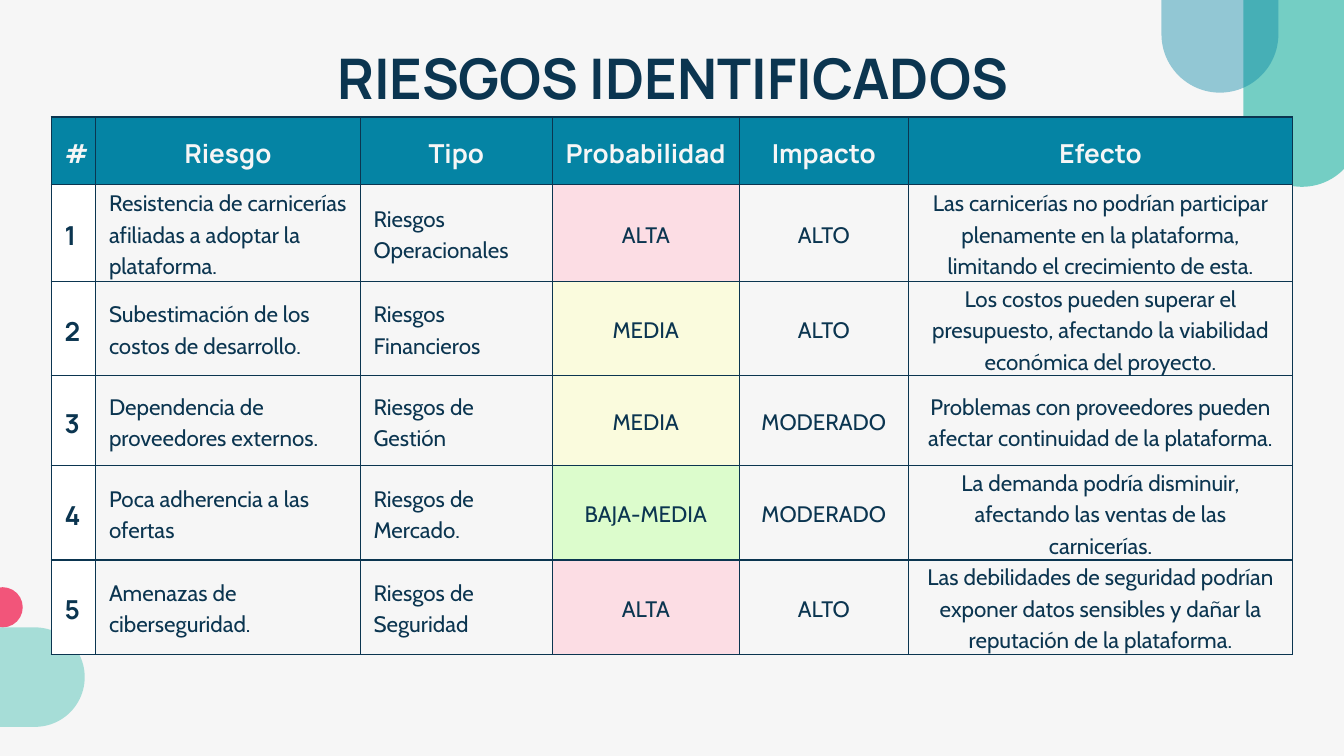
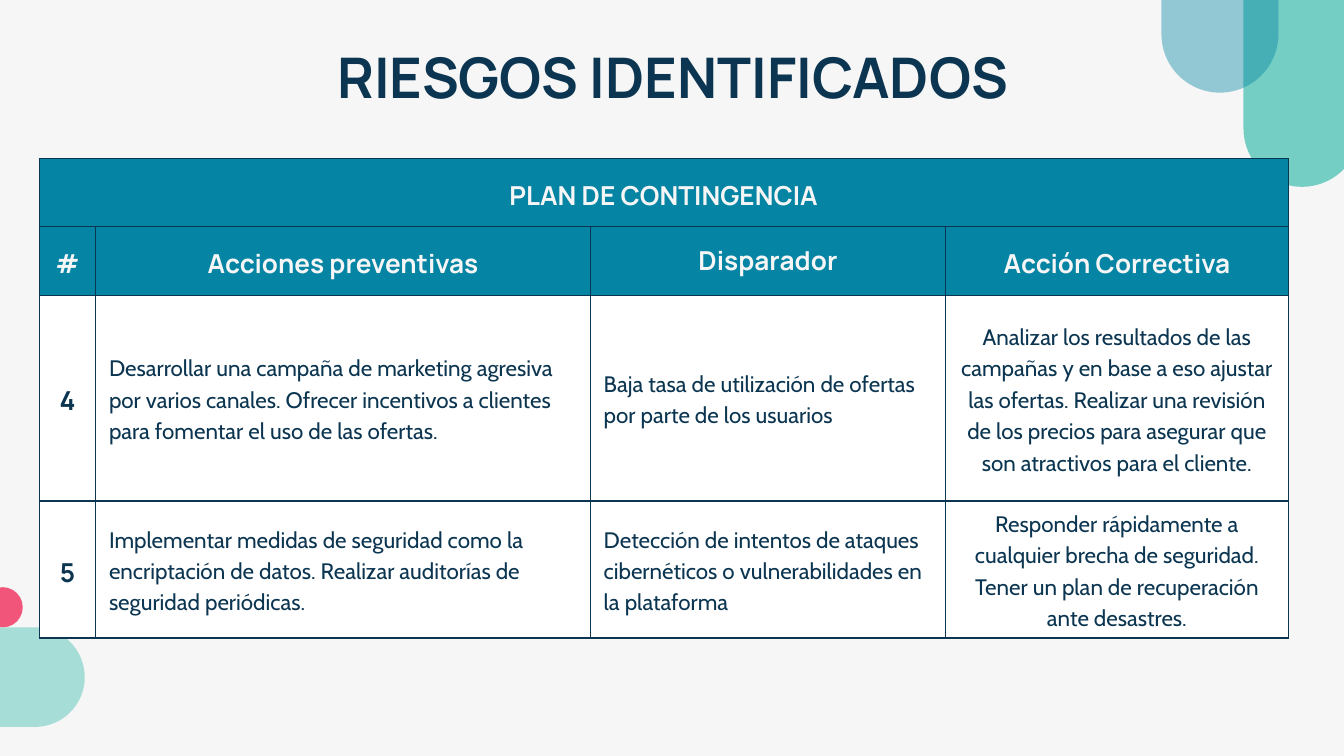
"""Builds the two slides on identified risks and their contingency plan."""
from lxml import etree
from pptx import Presentation
from pptx import util as u
from pptx.dml.color import RGBColor
from pptx.enum import shapes, text
from pptx.oxml.ns import qn

COLORS = {
    "paper": "F6F6F6", "white": "FFFFFF", "navy": "0B3550", "blue": "0584A4",
    "teal": "74CEC4", "pink": "F2557A",
    "ALTA": "FCDDE4", "MEDIA": "FAFBDD", "BAJA-MEDIA": "DCFCCC",
}
ALIGN = {"l": text.PP_ALIGN.LEFT, "c": text.PP_ALIGN.CENTER}
PAD = 0.25
PILL = shapes.MSO_SHAPE.ROUNDED_RECTANGLE
DECORATION = [
    (PILL, (23.5, -7.95, 2.21, 11.48), 180, "teal", 100),
    (PILL, (21.95, -6.2, 2.21, 7.95), 180, "blue", 41),
    (shapes.MSO_SHAPE.OVAL, (-0.33, 11.1, 0.76, 0.76), 90, "pink", 100),
    (PILL, (-1.88, 10.26, 1.88, 5.08), 90, "teal", 61),
]
RISKS = [
    ("1", "Resistencia de carnicerías afiliadas a adoptar la plataforma.",
     "Riesgos Operacionales", "ALTA", "ALTO",
     "Las carnicerías no podrían participar plenamente en la plataforma, "
     "limitando el crecimiento de esta."),
    ("2", "Subestimación de los costos de desarrollo.",
     "Riesgos Financieros", "MEDIA", "ALTO",
     "Los costos pueden superar el presupuesto, afectando la viabilidad "
     "económica del proyecto."),
    ("3", "Dependencia de proveedores externos.",
     "Riesgos de Gestión", "MEDIA", "MODERADO",
     "Problemas con proveedores pueden afectar continuidad de la plataforma."),
    ("4", "Poca adherencia a las ofertas",
     "Riesgos de Mercado.", "BAJA-MEDIA", "MODERADO",
     "La demanda podría disminuir, afectando las ventas de las carnicerías."),
    ("5", "Amenazas de ciberseguridad.",
     "Riesgos de Seguridad", "ALTA", "ALTO",
     "Las debilidades de seguridad podrían exponer datos sensibles y dañar la "
     "reputación de la plataforma."),
]
PLANS = [
    ("4", "Desarrollar una campaña de marketing agresiva por varios canales. "
     "Ofrecer incentivos a clientes para fomentar el uso de las ofertas.",
     "Baja tasa de utilización de ofertas por parte de los usuarios",
     "Analizar los resultados de las campañas y en base a eso ajustar las "
     "ofertas. Realizar una revisión de los precios para asegurar que son "
     "atractivos para el cliente."),
    ("5", "Implementar medidas de seguridad como la encriptación de datos. "
     "Realizar auditorías de seguridad periódicas.",
     "Detección de intentos de ataques cibernéticos o vulnerabilidades en la "
     "plataforma",
     "Responder rápidamente a cualquier brecha de seguridad. Tener un plan de "
     "recuperación ante desastres."),
]


def rgb(name):
    return RGBColor.from_string(COLORS[name])


def write(frame, content, size=12, font="Cabin", color="navy", bold=False,
          align="c", spacing=None):
    frame.word_wrap = True
    paragraph = frame.paragraphs[0]
    paragraph.alignment = ALIGN[align]
    if spacing:
        paragraph.line_spacing = spacing
    run = paragraph.add_run()
    run.text = content
    run.font.size = u.Pt(size)
    run.font.name = font
    run.font.bold = bold
    run.font.color.rgb = rgb(color)


class Deck:
    def __init__(self):
        self.prs = Presentation()
        self.prs.slide_width = u.Cm(25.4)
        self.prs.slide_height = u.Cm(14.29)
        self.slide = None

    def new_slide(self, title, top):
        self.slide = self.prs.slides.add_slide(self.prs.slide_layouts[5])
        fill = self.slide.background.fill
        fill.solid()
        fill.fore_color.rgb = rgb("paper")
        for part in DECORATION:
            self.ornament(*part)
        self.title(title, top)

    def ornament(self, preset, place, rotation, color, opacity):
        ornament = self.slide.shapes.add_shape(preset, *map(u.Cm, place))
        if preset == PILL:
            ornament.adjustments[0] = 0.5
        ornament.rotation = rotation
        ornament.shadow.inherit = False
        ornament.line.fill.background()
        ornament.fill.solid()
        ornament.fill.fore_color.rgb = rgb(color)
        if opacity < 100:
            tint = ornament.fill._xPr.find(".//" + qn("a:srgbClr"))
            etree.SubElement(tint, qn("a:alpha"), val=str(opacity * 1000))

    def title(self, content, top):
        title = self.slide.shapes.title
        title.left, title.top, title.width, title.height = map(
            u.Cm, (2.01, top, 21.41, 1.6))
        frame = title.text_frame
        frame.auto_size = text.MSO_AUTO_SIZE.NONE
        frame.vertical_anchor = text.MSO_ANCHOR.TOP
        frame.margin_left = frame.margin_right = u.Cm(PAD)
        frame.margin_top = frame.margin_bottom = u.Cm(PAD)
        write(frame, content, size=30, font="Manrope", bold=True)

    def table(self, left, top, widths, heights):
        grid = self.slide.shapes.add_table(
            len(heights), len(widths), u.Cm(left), u.Cm(top),
            u.Cm(sum(widths)), u.Cm(sum(heights))).table
        grid.first_row = grid.horz_banding = False
        for column, width in zip(grid.columns, widths):
            column.width = u.Cm(width)
        for row, height in zip(grid.rows, heights):
            row.height = u.Cm(height)
        for cell in grid.iter_cells():
            self.border(cell)
        return grid

    def border(self, cell):
        properties = cell._tc.get_or_add_tcPr()
        for side in ("lnL", "lnR", "lnT", "lnB"):
            line = etree.SubElement(properties, qn("a:" + side), w=str(u.Pt(0.75)))
            solid = etree.SubElement(line, qn("a:solidFill"))
            etree.SubElement(solid, qn("a:srgbClr"), val=COLORS["navy"])

    def cell(self, cell, content, fill, sides=PAD, ends=0, spacing=1.15, **style):
        cell.fill.solid()
        cell.fill.fore_color.rgb = rgb(fill)
        cell.vertical_anchor = text.MSO_ANCHOR.MIDDLE
        cell.margin_left = cell.margin_right = u.Cm(sides)
        cell.margin_top = cell.margin_bottom = u.Cm(ends)
        write(cell.text_frame, content, spacing=spacing, **style)

    def heading(self, cell, content, sides=PAD, ends=PAD, spacing=1.15):
        self.cell(cell, content, "blue", sides, ends, spacing, size=14,
                  font="Manrope", color="paper", bold=True)

    def body(self, grid, first_row, records, aligns, fill):
        for r, record in enumerate(records, first_row):
            for c, (content, align) in enumerate(zip(record, aligns)):
                style = {"size": 14, "font": "Manrope", "bold": True} if c == 0 else {}
                shade = "white" if c == 0 else content if content in COLORS else fill
                self.cell(grid.cell(r, c), content, shade, align=align, **style)


def risks_slide(deck):
    deck.new_slide("RIESGOS IDENTIFICADOS", 0.58)
    risks = deck.table(0.97, 2.21, [0.84, 5, 3.63, 3.53, 3.2, 7.26],
                       [0.99, 1.83] + [1.7] * 4)
    labels = ["#", "Riesgo", "Tipo", "Probabilidad", "Impacto", "Efecto"]
    for c, label in enumerate(labels):
        deck.heading(risks.cell(0, c), label, sides=PAD if c < 3 else 0)
    deck.body(risks, 1, RISKS, "lllccc", "paper")


def contingency_slide(deck):
    deck.new_slide("RIESGOS IDENTIFICADOS", 0.56)
    plan = deck.table(0.74, 3, [1.07, 9.35, 6.71, 6.48], [1.19, 1.3, 3.89, 2.59])
    plan.cell(0, 0).merge(plan.cell(0, 3))
    deck.heading(plan.cell(0, 0), "PLAN DE CONTINGENCIA")
    deck.heading(plan.cell(1, 0), "#")
    deck.heading(plan.cell(1, 1), "Acciones preventivas")
    deck.heading(plan.cell(1, 2), "Disparador", sides=0.18, ends=0, spacing=None)
    deck.heading(plan.cell(1, 3), "Acción Correctiva", sides=0)
    deck.body(plan, 2, PLANS, "cllc", "white")


def main():
    deck = Deck()
    risks_slide(deck)
    contingency_slide(deck)
    deck.prs.save("out.pptx")


if __name__ == "__main__":
    main()
